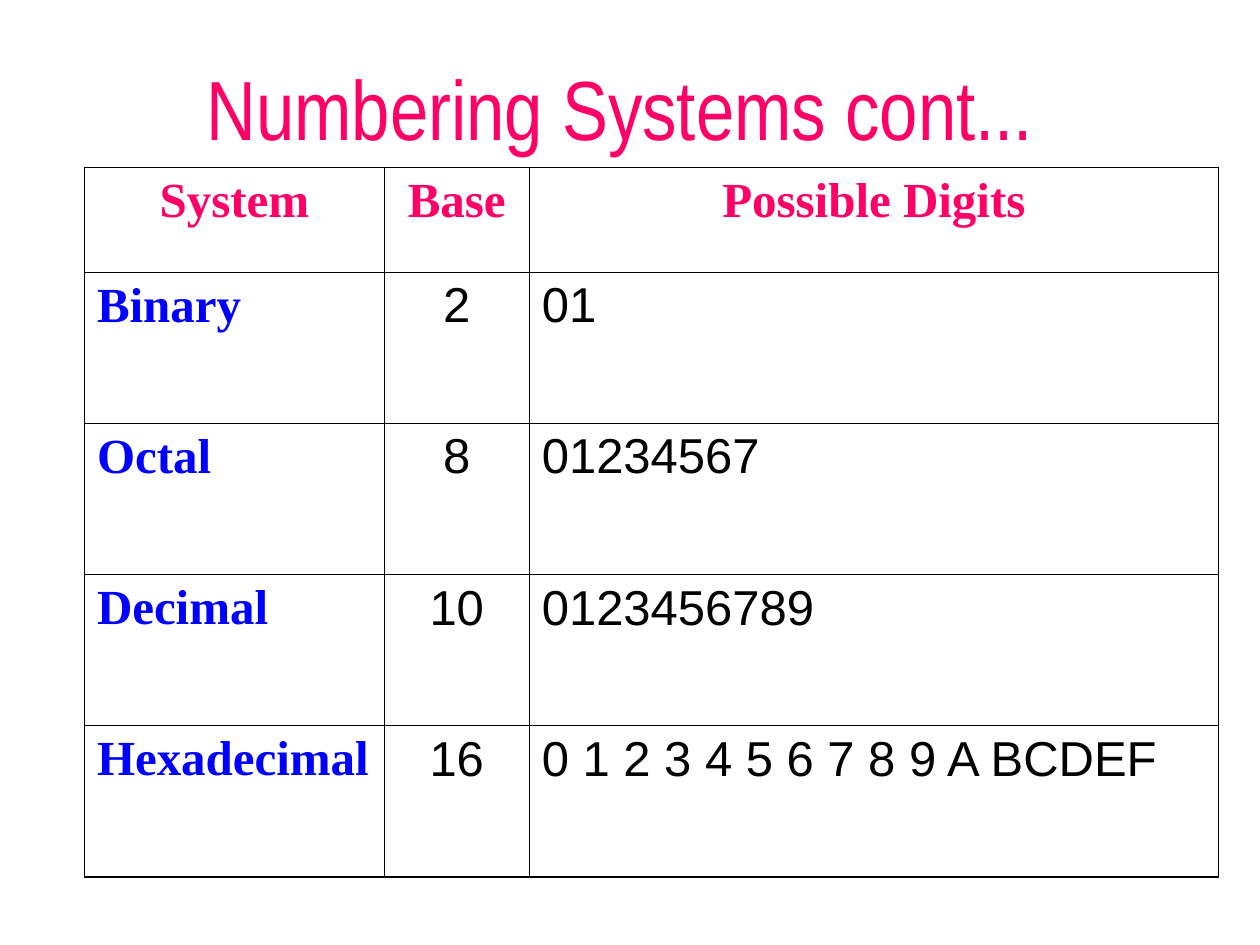
from dataclasses import dataclass

import pptx
import pptx.dml.color
import pptx.enum.text
import pptx.oxml.ns
import pptx.util
from lxml import etree
from pptx.dml.color import RGBColor
from pptx.util import Inches

PINK = RGBColor(0xFF, 0x00, 0x66)
BLUE = RGBColor(0x00, 0x00, 0xFF)
BLACK = RGBColor(0x00, 0x00, 0x00)

LEFT = pptx.enum.text.PP_ALIGN.LEFT
CENTER = pptx.enum.text.PP_ALIGN.CENTER

OUTER_PT, INNER_PT = 1.08, 0.45
COL_WIDTHS = (2.38, 1.15, 5.47)
HEADER_HEIGHT, BODY_HEIGHT = 0.83, 1.2
HEADERS = ("System", "Base", "Possible Digits")


@dataclass
class NumberSystem:
    name: str
    base: str
    digits: str


SYSTEMS = [
    NumberSystem("Binary", "2", "01"),
    NumberSystem("Octal", "8", "01234567"),
    NumberSystem("Decimal", "10", "0123456789"),
    NumberSystem("Hexadecimal", "16", "0 1 2 3 4 5 6 7 8 9 A BCDEF"),
]


def write_text(tf, text: str, *, font: str = "Arial", size: float = 28,
               color: RGBColor = BLACK, bold: bool = False, align=LEFT) -> None:
    p = tf.paragraphs[0]
    p.alignment = align
    r = p.add_run()
    r.text = text
    r.font.name = font
    r.font.size = pptx.util.Pt(size)
    r.font.bold = bold
    r.font.color.rgb = color


def set_border(cell, side: str, width_pt: float) -> None:
    qn = pptx.oxml.ns.qn
    ln = etree.SubElement(cell._tc.get_or_add_tcPr(), qn(f"a:ln{side}"),
                          w=str(pptx.util.Pt(width_pt)))
    fill = etree.SubElement(ln, qn("a:solidFill"))
    etree.SubElement(fill, qn("a:srgbClr"), val=str(BLACK))


def draw_table(s) -> None:
    n_rows, n_cols = len(SYSTEMS) + 1, len(HEADERS)
    heights = [HEADER_HEIGHT] + [BODY_HEIGHT] * len(SYSTEMS)
    table = s.shapes.add_table(n_rows, n_cols, Inches(0.67), Inches(1.33),
                               Inches(sum(COL_WIDTHS)), Inches(sum(heights))).table
    table.first_row = table.horz_banding = False
    for col, width in zip(table.columns, COL_WIDTHS):
        col.width = Inches(width)
    for row, height in zip(table.rows, heights):
        row.height = Inches(height)

    # Cell text
    for c, header in enumerate(HEADERS):
        write_text(table.cell(0, c).text_frame, header, font="Times New Roman",
                   color=PINK, bold=True, align=CENTER)
    for i, system in enumerate(SYSTEMS, start=1):
        write_text(table.cell(i, 0).text_frame, system.name,
                   font="Times New Roman", color=BLUE, bold=True)
        write_text(table.cell(i, 1).text_frame, system.base, align=CENTER)
        write_text(table.cell(i, 2).text_frame, system.digits)

    # Heavy outer frame, thin inner grid; borders precede the fill in the XML
    for i in range(n_rows):
        for c in range(n_cols):
            cell = table.cell(i, c)
            on_edge = {"L": c == 0, "R": c == n_cols - 1,
                       "T": i == 0, "B": i == n_rows - 1}
            for side, outer in on_edge.items():
                set_border(cell, side, OUTER_PT if outer else INNER_PT)
            cell.fill.background()


def draw_title(s) -> None:
    sp = s.shapes.add_textbox(Inches(0.42), Inches(0), Inches(9), Inches(1.25))
    tf = sp.text_frame
    tf.word_wrap = True
    tf.vertical_anchor = pptx.enum.text.MSO_ANCHOR.BOTTOM
    tf.margin_left = tf.margin_right = tf.margin_bottom = Inches(0)
    tf.margin_top = Inches(0.05)
    write_text(tf, "Numbering Systems cont...", font="Arial Narrow", size=48,
               color=PINK, align=CENTER)


def main() -> None:
    prs = pptx.Presentation()
    prs.slide_width, prs.slide_height = Inches(10), Inches(7.5)
    s = prs.slides.add_slide(prs.slide_layouts[6])
    draw_table(s)
    draw_title(s)
    prs.save("out.pptx")


if __name__ == "__main__":
    main()
